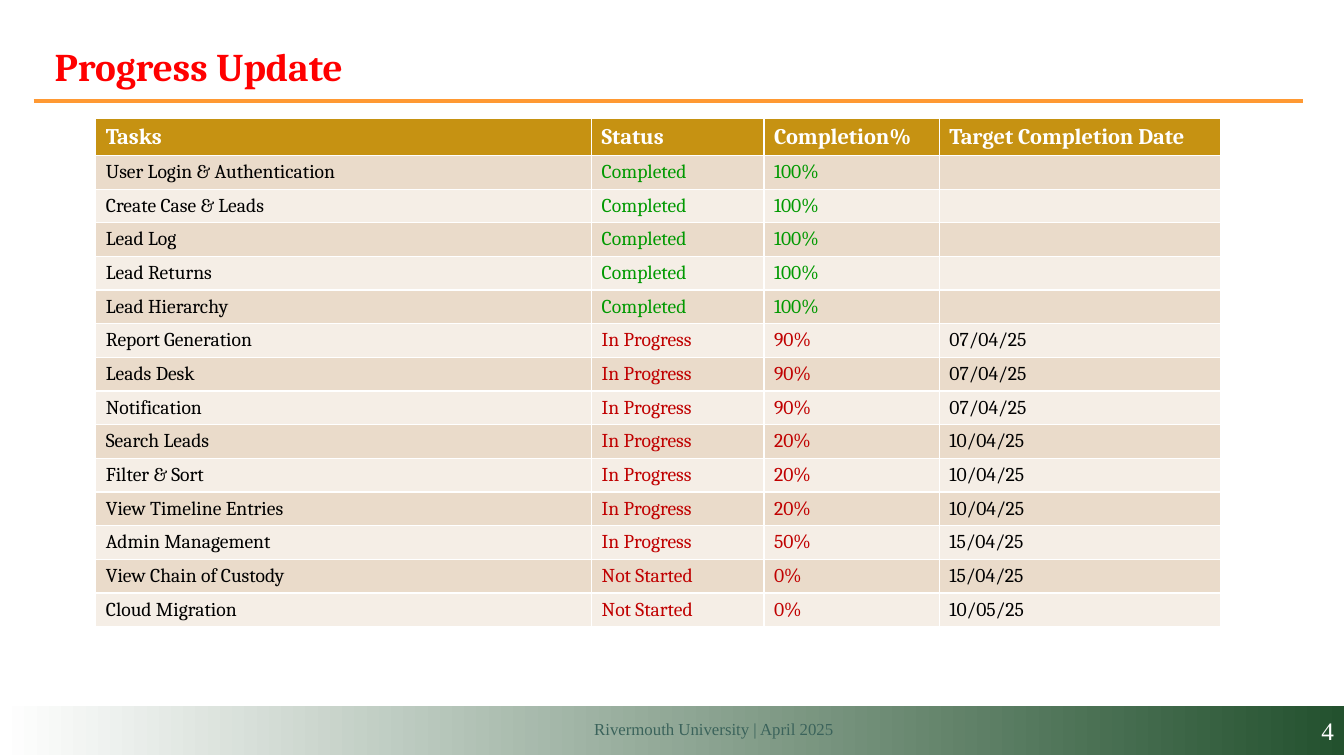
from dataclasses import dataclass

from lxml import etree
from pptx import Presentation
from pptx.dml.color import RGBColor
from pptx.enum.shapes import MSO_CONNECTOR as Connector, MSO_SHAPE as Shape
from pptx.enum.text import MSO_ANCHOR as Anchor, PP_ALIGN as Align
from pptx.oxml.ns import qn
from pptx.util import Pt


@dataclass(frozen=True)
class Theme:
    heading_font: str = "Cambria"
    footer_font: str = "Times New Roman"
    title: str = "FF0000"
    rule: str = "FF9933"
    header: str = "C69212"
    bands: tuple = ("EADBCA", "F5EEE6")
    white: str = "FFFFFF"
    ink: str = "000000"
    done: str = "009900"
    pending: str = "C00000"
    green: str = "23512E"
    footer_ink: str = "3B635B"
    title_size: int = 28
    header_size: int = 16
    body_size: int = 14
    number_size: int = 18
    footer_size: int = 12


THEME = Theme()

HEADINGS = ("Tasks", "Status", "Completion%", "Target Completion Date")
TASKS = (
    ("User Login & Authentication", "Completed", "100%", ""),
    ("Create Case & Leads", "Completed", "100%", ""),
    ("Lead Log", "Completed", "100%", ""),
    ("Lead Returns", "Completed", "100%", ""),
    ("Lead Hierarchy", "Completed", "100%", ""),
    ("Report Generation", "In Progress", "90%", "07/04/25"),
    ("Leads Desk", "In Progress", "90%", "07/04/25"),
    ("Notification", "In Progress", "90%", "07/04/25"),
    ("Search Leads", "In Progress", "20%", "10/04/25"),
    ("Filter & Sort", "In Progress", "20%", "10/04/25"),
    ("View Timeline Entries", "In Progress", "20%", "10/04/25"),
    ("Admin Management", "In Progress", "50%", "15/04/25"),
    ("View Chain of Custody", "Not Started", "0%", "15/04/25"),
    ("Cloud Migration", "Not Started", "0%", "10/05/25"),
)


def rgb(value):
    return RGBColor.from_string(value)


def write(frame, text, *, size, color, font=THEME.heading_font, bold=False,
          align=Align.LEFT):
    para = frame.paragraphs[0]
    para.alignment = align
    if not text:
        # An empty cell keeps the text size, so its row does not grow.
        etree.SubElement(para._p, qn("a:endParaRPr"), sz=str(size * 100))
        return
    span = para.add_run()
    span.text = text
    span.font.name = font
    span.font.size = Pt(size)
    span.font.bold = bold
    span.font.color.rgb = rgb(color)


def add_text(page, box, text, anchor=Anchor.TOP, **style):
    frame = page.shapes.add_textbox(*map(Pt, box)).text_frame
    frame.word_wrap = True
    frame.vertical_anchor = anchor
    write(frame, text, **style)


def add_heading(page, box, text):
    """Place the title and the rule along the bottom of the box."""
    left, top, width, height = box
    bottom = top + height
    rule = page.shapes.add_connector(
        Connector.STRAIGHT, Pt(left), Pt(bottom), Pt(left + width), Pt(bottom))
    rule.line.color.rgb = rgb(THEME.rule)
    rule.line.width = Pt(3)
    etree.SubElement(rule._element.spPr, qn("a:effectLst"))
    add_text(page, (left + 8, top, width - 16, height), text, Anchor.MIDDLE,
             size=THEME.title_size, color=THEME.title, bold=True)


def add_footer(page, box, text, number):
    left, top, width, height = box
    band = page.shapes.add_shape(Shape.RECTANGLE, *map(Pt, box))
    band.shadow.inherit = False
    band.line.fill.background()
    band.fill.gradient()
    band.fill.gradient_angle = 0
    for stop, color, position in zip(band.fill.gradient_stops,
                                     (THEME.white, THEME.green), (0, 1)):
        stop.color.rgb = rgb(color)
        stop.position = position
    band.text_frame.vertical_anchor = Anchor.MIDDLE
    write(band.text_frame, number, size=THEME.number_size, color=THEME.white,
          font=THEME.footer_font, align=Align.RIGHT)
    add_text(page, (left + 386.6, top + 5.8, 216, 21.6), text,
             size=THEME.footer_size, color=THEME.footer_ink,
             font=THEME.footer_font, align=Align.RIGHT)


def add_progress_table(page, box):
    table = page.shapes.add_table(
        len(TASKS) + 1, len(HEADINGS), *map(Pt, box)).table
    for column, width in zip(table.columns, (354.2, 123.1, 125.3, 200.9)):
        column.width = Pt(width)
    for row in table.rows:
        row.height = Pt(22.3)
    table.rows[0].height = Pt(23)

    for index, record in enumerate((HEADINGS, *TASKS)):
        is_header = index == 0
        fill = THEME.header if is_header else THEME.bands[(index - 1) % 2]
        status = THEME.done if record[1] == "Completed" else THEME.pending
        colors = ([THEME.white] * 4 if is_header
                  else (THEME.ink, status, status, THEME.ink))
        size = THEME.header_size if is_header else THEME.body_size
        for cell, text, color in zip(table.rows[index].cells, record, colors):
            cell.fill.solid()
            cell.fill.fore_color.rgb = rgb(fill)
            cell.vertical_anchor = Anchor.MIDDLE
            write(cell.text_frame, text, size=size, color=color, bold=is_header)


def main():
    deck = Presentation()
    deck.slide_width, deck.slide_height = Pt(960), Pt(540)
    page = deck.slides.add_slide(deck.slide_layouts[6])
    add_footer(page, (0, 504, 960, 35.3),
               "Rivermouth University | April 2025", "4")
    add_heading(page, (24, 22, 907, 50), "Progress Update")
    add_progress_table(page, (68.4, 84.6, 803.5, 335.2))
    deck.save("out.pptx")


if __name__ == "__main__":
    main()
